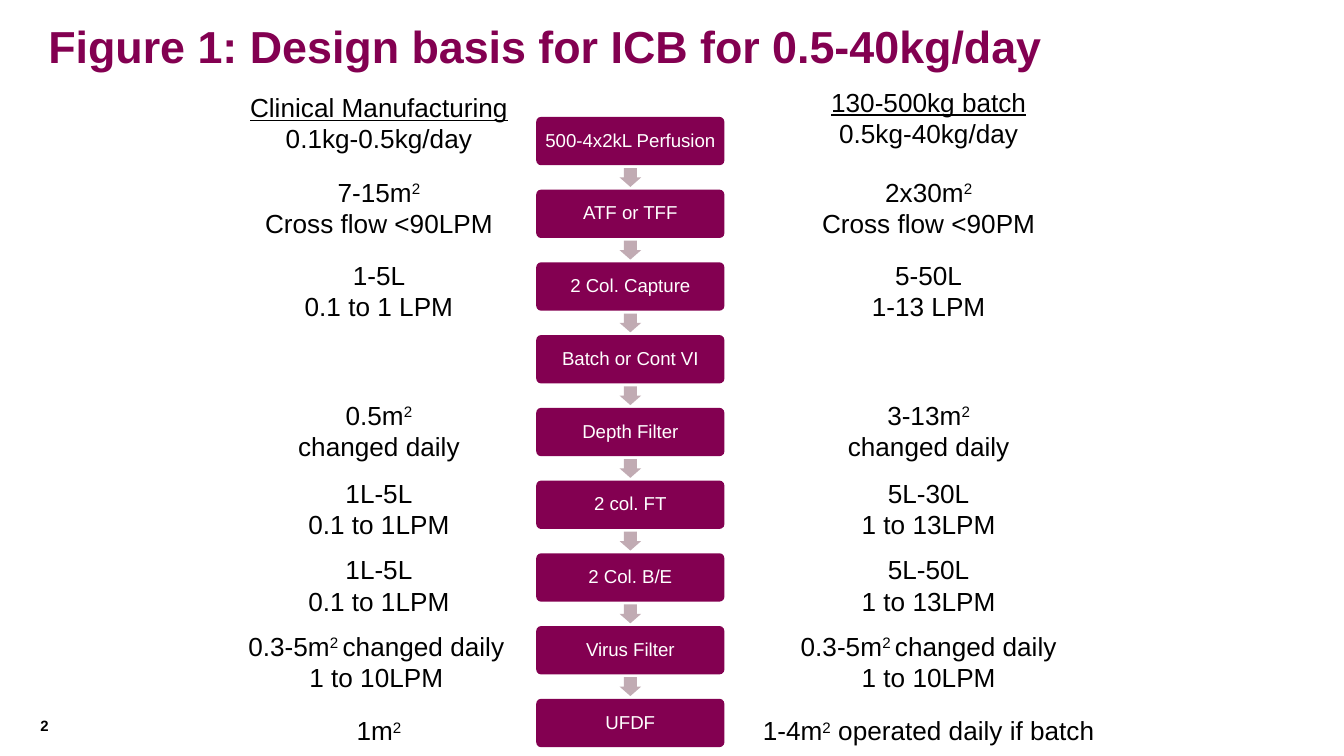
from dataclasses import dataclass

from pptx import Presentation
from pptx.dml.color import RGBColor
from pptx.enum import shapes, text
from pptx.util import Inches, Pt


@dataclass(frozen=True)
class Theme:
    font: str = "Arial"
    plum: RGBColor = RGBColor(0x83, 0x00, 0x51)
    mauve: RGBColor = RGBColor(0xC1, 0xAB, 0xB3)
    black: RGBColor = RGBColor(0, 0, 0)
    white: RGBColor = RGBColor(255, 255, 255)
    title_size: int = 24
    note_size: int = 14
    step_size: int = 10
    number_size: int = 8


@dataclass(frozen=True)
class Note:
    center: float
    top: float
    width: float
    lines: tuple[str, ...]
    headed: bool = False


THEME = Theme()
CLINICAL, COMMERCIAL = 2.82, 6.91
STEP_CENTER, STEP_TOP, LAST_STEP_TOP = 4.69, 0.87, 5.2
STEP_WIDTH, STEP_HEIGHT = 1.4, 0.36
ARROW_LENGTH, ARROW_BREADTH = 0.14, 0.16
SUPERSCRIPT = "^"

STEPS = (
    "500-4x2kL Perfusion", "ATF or TFF", "2 Col. Capture",
    "Batch or Cont VI", "Depth Filter", "2 col. FT",
    "2 Col. B/E", "Virus Filter", "UFDF",
)
STEP_PITCH = (LAST_STEP_TOP - STEP_TOP) / (len(STEPS) - 1)

NOTES = (
    Note(CLINICAL, 0.63, 2.16, ("Clinical Manufacturing", "0.1kg-0.5kg/day"), True),
    Note(COMMERCIAL, 0.59, 2.11, ("130-500kg batch", "0.5kg-40kg/day"), True),
    Note(CLINICAL, 1.26, 2.61, ("7-15m^2", "Cross flow <90LPM")),
    Note(COMMERCIAL, 1.26, 2.34, ("2x30m^2", "Cross flow <90PM")),
    Note(CLINICAL, 1.88, 1.43, ("1-5L", "0.1 to 1 LPM")),
    Note(COMMERCIAL, 1.88, 1.43, ("5-50L", "1-13 LPM")),
    Note(CLINICAL, 2.92, 1.43, ("0.5m^2^ changed daily",)),
    Note(COMMERCIAL, 2.92, 1.43, ("3-13m^2^ changed daily",)),
    Note(CLINICAL, 3.5, 1.43, ("1L-5L", "0.1 to 1LPM")),
    Note(COMMERCIAL, 3.5, 1.43, ("5L-30L", "1 to 13LPM")),
    Note(CLINICAL, 4.07, 1.43, ("1L-5L", "0.1 to 1LPM")),
    Note(COMMERCIAL, 4.07, 1.43, ("5L-50L", "1 to 13LPM")),
    Note(2.8, 4.64, 2.99, ("0.3-5m^2 ^changed daily", "1 to 10LPM")),
    Note(COMMERCIAL, 4.64, 2.37, ("0.3-5m^2 ^changed daily", "1 to 10LPM")),
    Note(CLINICAL, 5.27, 2.24, ("1m^2",)),
    Note(COMMERCIAL, 5.27, 3.69, ("1-4m^2^ operated daily if batch",)),
)


def style(para, size: int, color: RGBColor, align, bold: bool = False) -> None:
    para.alignment = align
    para.font.name = THEME.font
    para.font.size = Pt(size)
    para.font.bold = bold
    para.font.color.rgb = color


def set_insets(frame, inset: float) -> None:
    frame.margin_left = frame.margin_right = Inches(inset)
    frame.margin_top = frame.margin_bottom = Inches(inset)


def add_title(page, wording: str) -> None:
    title = page.shapes.title
    title.left, title.top = Inches(0.26), Inches(0.09)
    title.width, title.height = Inches(9.59), Inches(0.55)
    frame = title.text_frame
    frame.text = wording
    frame.vertical_anchor = text.MSO_ANCHOR.MIDDLE
    para = frame.paragraphs[0]
    para.line_spacing = 0.9
    style(para, THEME.title_size, THEME.plum, text.PP_ALIGN.LEFT, True)


def add_page_number(page, number: str) -> None:
    box = page.shapes.add_textbox(Inches(0.3), Inches(5.33), Inches(0.43), Inches(0.18))
    frame = box.text_frame
    set_insets(frame, 0)
    frame.word_wrap = True
    frame.text = number
    style(frame.paragraphs[0], THEME.number_size, THEME.black, text.PP_ALIGN.LEFT, True)


def add_solid(page, kind, center: float, middle: float, width: float,
              height: float, color: RGBColor):
    solid = page.shapes.add_shape(
        kind, Inches(center - width / 2), Inches(middle - height / 2),
        Inches(width), Inches(height))
    solid.shadow.inherit = False
    solid.fill.solid()
    solid.fill.fore_color.rgb = color
    solid.line.fill.background()
    return solid


def add_step(page, middle: float, label: str) -> None:
    step = add_solid(page, shapes.MSO_SHAPE.ROUNDED_RECTANGLE, STEP_CENTER, middle,
                     STEP_WIDTH, STEP_HEIGHT, THEME.plum)
    step.adjustments[0] = 0.1
    frame = step.text_frame
    set_insets(frame, 0.04)
    frame.word_wrap = True
    frame.vertical_anchor = text.MSO_ANCHOR.MIDDLE
    frame.text = label
    para = frame.paragraphs[0]
    para.line_spacing = 0.9
    style(para, THEME.step_size, THEME.white, text.PP_ALIGN.CENTER)


def add_arrow(page, middle: float) -> None:
    arrow = add_solid(page, shapes.MSO_SHAPE.RIGHT_ARROW, STEP_CENTER, middle,
                      ARROW_LENGTH, ARROW_BREADTH, THEME.mauve)
    arrow.adjustments[0] = 0.6
    arrow.adjustments[1] = 0.5
    arrow.rotation = 90


def add_note(page, note: Note) -> None:
    height = 0.34 if note.top > 5 else 0.57
    box = page.shapes.add_textbox(
        Inches(note.center - note.width / 2), Inches(note.top),
        Inches(note.width), Inches(height))
    frame = box.text_frame
    frame.word_wrap = True
    for row, line in enumerate(note.lines):
        para = frame.add_paragraph() if row else frame.paragraphs[0]
        style(para, THEME.note_size, THEME.black, text.PP_ALIGN.CENTER)
        para.font.underline = note.headed and row == 0
        for index, part in enumerate(line.split(SUPERSCRIPT)):
            span = para.add_run()
            span.text = part
            if index % 2:
                span._r.get_or_add_rPr().set("baseline", "30000")


def main() -> None:
    deck = Presentation()
    deck.slide_width = Inches(10)
    deck.slide_height = deck.slide_width * 9 // 16
    page = deck.slides.add_slide(deck.slide_layouts.get_by_name("Title Only"))
    add_title(page, "Figure 1: Design basis for ICB for 0.5-40kg/day")
    add_page_number(page, "2")
    for index, label in enumerate(STEPS):
        middle = STEP_TOP + STEP_HEIGHT / 2 + index * STEP_PITCH
        if index:
            add_arrow(page, middle - STEP_PITCH / 2)
        add_step(page, middle, label)
    for note in NOTES:
        add_note(page, note)
    deck.save("out.pptx")


if __name__ == "__main__":
    main()
